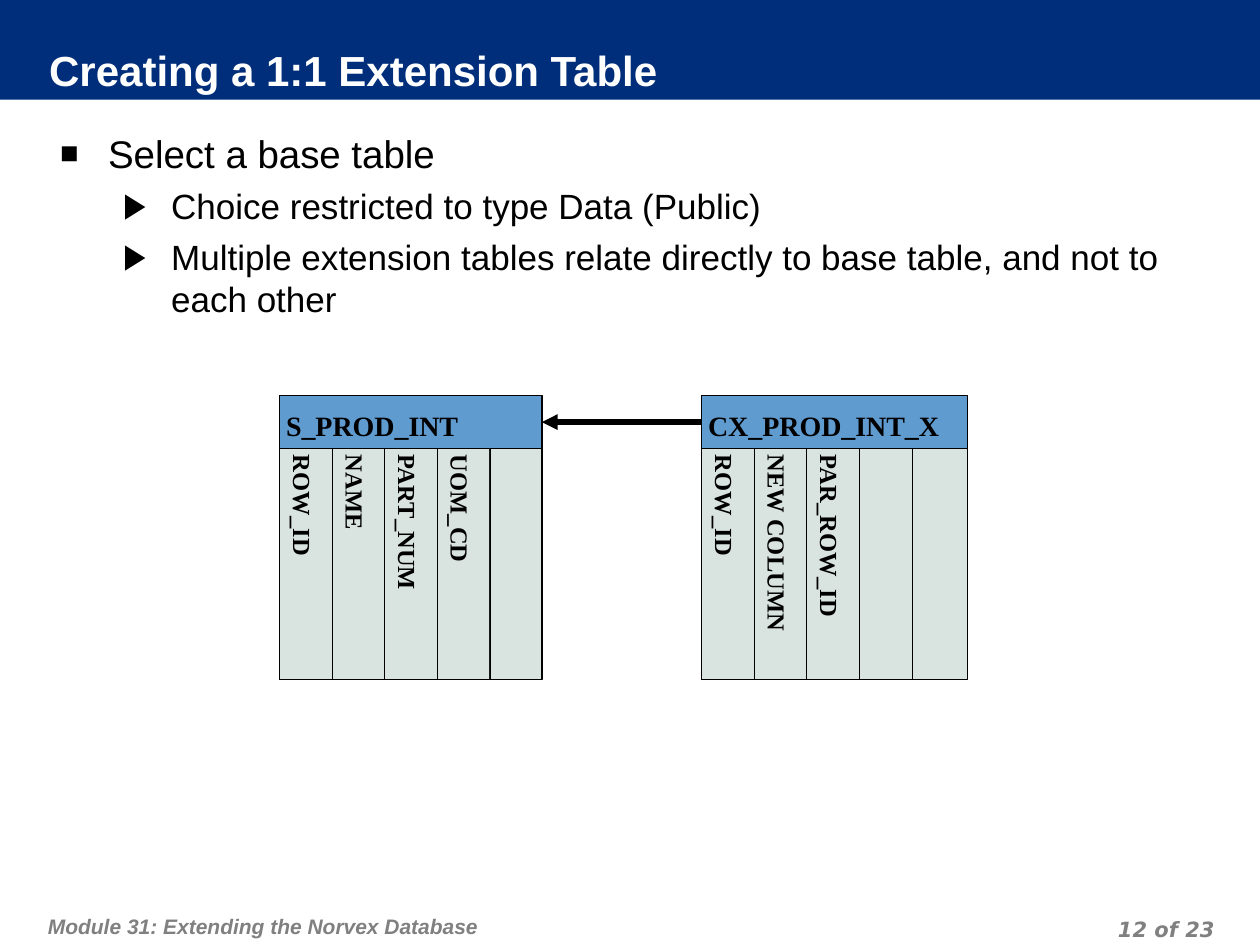
from pptx import Presentation
from pptx.dml.color import RGBColor
from pptx.enum.shapes import MSO_CONNECTOR, MSO_SHAPE
from pptx.enum.text import MSO_ANCHOR, PP_ALIGN
from pptx.oxml.ns import qn
from pptx.util import Inches, Pt
from lxml.etree import SubElement

NAVY, BLUE, PALE, GREEN = "002E7A", "5F9BCF", "D9E3E0", "00CC99"
BLACK, WHITE, GREY = "000000", "FFFFFF", "808080"
SERIF = "Times New Roman"
TABLE_TOP, HEADER_HEIGHT, COLUMN_HEIGHT, COLUMN_WIDTH = 3.14, 0.42, 1.83, 0.417
COLUMN_COUNT = 5


def color(value):
    return RGBColor.from_string(value)


def set_frame(frame, margins, anchor=MSO_ANCHOR.TOP):
    frame.word_wrap = True
    frame.vertical_anchor = anchor
    left, top, right, bottom = (Inches(margin) for margin in margins)
    frame.margin_left, frame.margin_top = left, top
    frame.margin_right, frame.margin_bottom = right, bottom


def style_para(para, size, font, ink, bold=False, italic=False, align=PP_ALIGN.LEFT):
    para.alignment = align
    for span in para.runs:
        span.font.size = Pt(size)
        span.font.name = font
        span.font.color.rgb = color(ink)
        span.font.bold = bold
        span.font.italic = italic


def add_rect(page, left, top, width, height, fill, line_width=None):
    rect = page.shapes.add_shape(MSO_SHAPE.RECTANGLE, Inches(left), Inches(top),
                                 Inches(width), Inches(height))
    rect.shadow.inherit = False
    rect.fill.solid()
    rect.fill.fore_color.rgb = color(fill)
    if line_width:
        rect.line.color.rgb = color(BLACK)
        rect.line.width = Pt(line_width)
    else:
        rect.line.fill.background()
    return rect


def add_label(rect, text, size):
    set_frame(rect.text_frame, (0.05, 0.1, 0.05, 0.05), MSO_ANCHOR.MIDDLE)
    rect.text_frame.text = text
    style_para(rect.text_frame.paragraphs[0], size, SERIF, BLACK, bold=True)


def add_title(page, text):
    add_rect(page, 0, 0, 10, 0.79, NAVY)
    title = add_rect(page, 0.39, 0.38, 9.17, 0.4, NAVY)
    set_frame(title.text_frame, (0, 0, 0.05, 0.05), MSO_ANCHOR.MIDDLE)
    title.text_frame.text = text
    style_para(title.text_frame.paragraphs[0], 24, "Arial", WHITE, bold=True)


def add_footer(page, place, top_margin, text, font, align):
    box = page.shapes.add_textbox(*(Inches(length) for length in place))
    set_frame(box.text_frame, (0.05, top_margin, 0.05, 0))
    box.text_frame.text = text
    para = box.text_frame.paragraphs[0]
    para.line_spacing = Pt(18)
    style_para(para, 12, font, GREY, bold=True, italic=True, align=align)


def set_bullet(para, char, percent, indent):
    props = para._p.get_or_add_pPr()
    props.set("marL", str(Inches(indent)))
    props.set("indent", str(Inches(-0.38)))
    SubElement(SubElement(props, qn("a:buClr")), qn("a:srgbClr"), val=BLACK)
    SubElement(props, qn("a:buSzPct"), val=str(percent * 1000))
    SubElement(props, qn("a:buFont"), typeface="Arial")
    SubElement(props, qn("a:buChar"), char=char)


def add_bullets(page, items):
    """Add (level, text) items as one bulleted list."""
    box = page.shapes.add_textbox(Inches(0.38), Inches(0.93), Inches(9.3), Inches(6.18))
    frame = box.text_frame
    set_frame(frame, (0.1, 0.1, 0.1, 0.05))
    frame.text = "\n".join(text for _, text in items)
    for index, (para, (level, _)) in enumerate(zip(frame.paragraphs, items)):
        char, percent, indent, size = [("■", 80, 0.38, 22), ("▶", 100, 0.88, 20)][level]
        set_bullet(para, char, percent, indent)
        para.level = level
        if index:
            para.space_before = Pt(5)
        style_para(para, size, "Arial", BLACK)


def add_database_table(page, left, width, name, columns):
    """Draw a header over upright columns and return the header."""
    add_rect(page, left, TABLE_TOP, COLUMN_COUNT * COLUMN_WIDTH,
             HEADER_HEIGHT + COLUMN_HEIGHT, GREEN, 0.75)
    header = add_rect(page, left, TABLE_TOP, width, HEADER_HEIGHT, BLUE, 0.5)
    add_label(header, name, 16)
    middle = TABLE_TOP + HEADER_HEIGHT + COLUMN_HEIGHT / 2
    for index in range(COLUMN_COUNT):
        offset = index * COLUMN_WIDTH
        last = index == COLUMN_COUNT - 1
        across = width - offset if last else COLUMN_WIDTH
        center = left + offset + across / 2
        column = add_rect(page, center - COLUMN_HEIGHT / 2, middle - across / 2,
                          COLUMN_HEIGHT, across, PALE, 0.5)
        column.rotation = 90
        if index < len(columns):
            add_label(column, columns[index], 14)
    return header


def add_arrow(page, target, source):
    """Join two headers with an arrow that points left, at the target."""
    arrow = page.shapes.add_connector(MSO_CONNECTOR.STRAIGHT, 0, 0, 0, 0)
    arrow.begin_connect(target, 3)
    arrow.end_connect(source, 1)
    arrow.line.color.rgb = color(BLACK)
    arrow.line.width = Pt(3)
    SubElement(arrow.line._get_or_add_ln(), qn("a:headEnd"), type="triangle")
    SubElement(arrow._element.spPr, qn("a:effectLst"))


def main():
    deck = Presentation()
    deck.slide_width, deck.slide_height = Inches(10), Inches(7.5)
    page = deck.slides.add_slide(deck.slide_layouts[6])
    add_title(page, "Creating a 1:1 Extension Table")
    add_footer(page, (0.33, 7.1, 6.18, 0.4), 0.1,
               "Module 31: Extending the Norvex Database", "Arial", PP_ALIGN.LEFT)
    add_footer(page, (7.36, 7.22, 2.33, 0.25), 0,
               "12 of 23", "DejaVu Sans", PP_ALIGN.RIGHT)
    add_bullets(page, [
        (0, "Select a base table"),
        (1, "Choice restricted to type Data (Public)"),
        (1, "Multiple extension tables relate directly to base table, and not to each other"),
    ])
    base = add_database_table(page, 2.22, 2.08, "S_PROD_INT",
                              ["ROW_ID", "NAME", "PART_NUM", "UOM_CD"])
    extension = add_database_table(page, 5.57, 2.11, "CX_PROD_INT_X",
                                   ["ROW_ID", "NEW COLUMN", "PAR_ROW_ID"])
    add_arrow(page, base, extension)
    deck.save("out.pptx")


if __name__ == "__main__":
    main()
